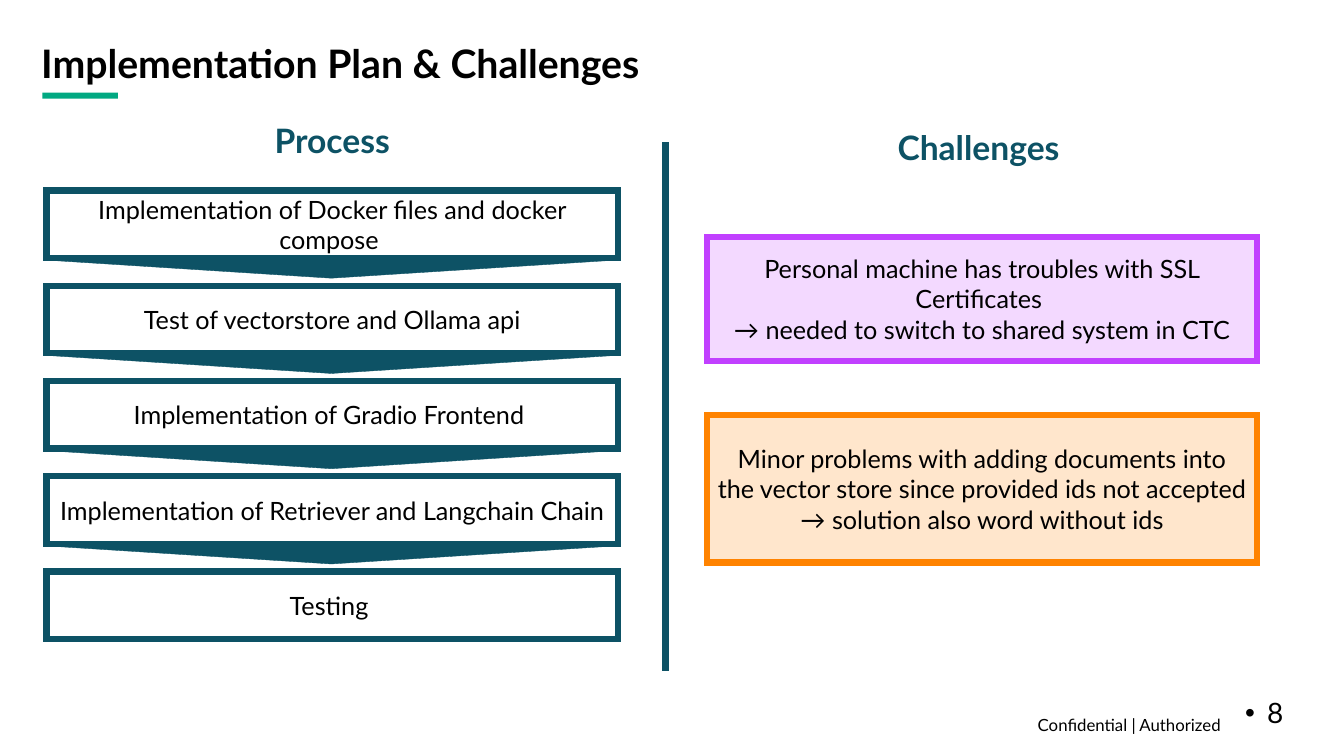
from dataclasses import dataclass

from lxml.etree import SubElement
from pptx import Presentation
from pptx.dml.color import RGBColor
from pptx.enum.shapes import MSO_CONNECTOR, MSO_SHAPE
from pptx.enum.text import MSO_ANCHOR, PP_ALIGN
from pptx.oxml.ns import qn
from pptx.util import Inches, Pt

WIDTH, HEIGHT = Inches(13.33), Inches(7.5)
FONT = "Lato"
COLORS = {
    "white": "FFFFFF", "black": "000000", "green": "01A982", "teal": "0D5265",
    "purple": "C140FF", "lilac": "F3D9FF", "orange": "FF8300", "peach": "FFE6CC",
}
THICK = 4.5
HEADING_HEIGHT = 5.87
STEP_HEIGHT, STEP_PITCH = 8.93, 12.6
STEPS = [
    "Implementation of Docker files and docker compose ",
    "Test of vectorstore and Ollama api",
    "Implementation of Gradio Frontend ",
    "Implementation of Retriever and Langchain Chain",
    "Testing ",
]
CHALLENGES = [
    (14.53, 16.4, "lilac", "purple",
     ["Personal machine has troubles with SSL Certificates ",
      "→ needed to switch to shared system in CTC"]),
    (38.13, 19.47, "peach", "orange",
     ["Minor problems with adding documents into the vector store since "
      "provided ids not accepted → solution also word without ids"]),
]


@dataclass
class Box:
    """An area of the slide, in percent of its width and height."""
    left: float
    top: float
    width: float
    height: float

    def inner(self, left, top, width, height):
        return Box(self.left + left, self.top + top, width, height)

    def lengths(self):
        return (int(WIDTH * self.left / 100), int(HEIGHT * self.top / 100),
                int(WIDTH * self.width / 100), int(HEIGHT * self.height / 100))


def color(name):
    return RGBColor.from_string(COLORS[name])


def set_values(target, values):
    for name, value in values.items():
        setattr(target, name, value)


def add_panel(page, box, fill=None, line=None, weight=THICK, kind=MSO_SHAPE.RECTANGLE):
    """Add a shape whose outline, if any, has sharp corners."""
    panel = page.shapes.add_shape(kind, *box.lengths())
    panel.shadow.inherit = False
    if fill:
        panel.fill.solid()
        panel.fill.fore_color.rgb = color(fill)
    else:
        panel.fill.background()
    if line:
        panel.line.color.rgb = color(line)
        panel.line.width = Pt(weight)
        outline = panel._element.spPr.find(qn("a:ln"))
        SubElement(outline, qn("a:miter")).set("lim", "800000")
    else:
        panel.line.fill.background()
    return panel


def write(shape, texts, size=18, ink="black", bold=False, align=PP_ALIGN.CENTER,
          spacing=1.0, anchor=MSO_ANCHOR.MIDDLE, wrap=True, margins=(0.1, 0.1)):
    """Fill a shape with paragraphs; margins are side and top/bottom inches."""
    side, end = map(Inches, margins)
    frame = shape.text_frame
    set_values(frame, {
        "word_wrap": wrap, "vertical_anchor": anchor, "margin_left": side,
        "margin_right": side, "margin_top": end, "margin_bottom": end})
    for index, text in enumerate(texts):
        para = frame.add_paragraph() if index else frame.paragraphs[0]
        set_values(para, {"alignment": align, "line_spacing": spacing})
        span = para.add_run()
        span.text = text
        set_values(span.font, {"name": FONT, "size": Pt(size), "bold": bold})
        span.font.color.rgb = color(ink)


def add_text(page, box, text, **style):
    label = page.shapes.add_textbox(*box.lengths())
    write(label, [text], **style)
    return label


def add_heading(page, box, text):
    write(add_panel(page, box, fill="white"), [text], size=24, ink="teal",
          bold=True, spacing=0.9, wrap=False)


def add_header(page, box):
    add_panel(page, box.inner(0.82, 6.54, 5.63, 0.8), fill="green")
    add_text(page, box.inner(0, 0, box.width, HEADING_HEIGHT),
             "Implementation Plan & Challenges", size=28, bold=True,
             align=PP_ALIGN.LEFT, spacing=0.9)


def add_bullet(para):
    properties = para._p.get_or_add_pPr()
    properties.set("marL", str(Inches(0.22)))
    properties.set("indent", str(-Inches(0.22)))
    SubElement(properties, qn("a:buSzPct")).set("val", "100000")
    SubElement(properties, qn("a:buFont")).set("typeface", "Arial")
    SubElement(properties, qn("a:buChar")).set("char", "•")


def add_footer(page, box):
    add_text(page, box.inner(0, 0, 61.37, box.height),
             "Confidential | Authorized ", size=12, align=PP_ALIGN.RIGHT,
             spacing=0.9, anchor=MSO_ANCHOR.BOTTOM, margins=(0.1, 0))
    number = add_text(page, box.inner(61.37, 2.54, 5.63, 5.33), "8", size=20,
                      align=PP_ALIGN.LEFT, spacing=0.9, margins=(0.1, 0.05))
    add_bullet(number.text_frame.paragraphs[0])


def add_divider(page, box):
    left, top, _, height = box.lengths()
    divider = page.shapes.add_connector(
        MSO_CONNECTOR.STRAIGHT, left, top, left, top + height)
    divider.line.color.rgb = color("teal")
    divider.line.width = Pt(THICK)
    SubElement(divider._element.spPr, qn("a:effectLst"))


def add_process(page, box):
    heading_width = 17.78
    add_heading(page, box.inner((box.width - heading_width) / 2, 0,
                                heading_width, HEADING_HEIGHT), "Process")
    for index, step in enumerate(STEPS):
        top = 9.33 + index * STEP_PITCH
        panel = add_panel(page, box.inner(0, top, box.width, STEP_HEIGHT), line="teal")
        write(panel, [step])
        if index < len(STEPS) - 1:
            arrow = add_panel(page, box.inner(-0.07, top + 9.2, box.width, 2.4),
                              "teal", "teal", 0.25, MSO_SHAPE.ISOSCELES_TRIANGLE)
            arrow.rotation = 180


def add_challenges(page, box):
    add_heading(page, box.inner(0, 0, box.width, HEADING_HEIGHT), "Challenges")
    for top, height, fill, line, texts in CHALLENGES:
        panel = add_panel(page, box.inner(1.65, top, 40.96, height), fill, line)
        write(panel, texts)


def main():
    deck = Presentation()
    set_values(deck, {"slide_width": WIDTH, "slide_height": HEIGHT})
    page = deck.slides.add_slide(deck.slide_layouts[6])
    add_header(page, Box(2.33, 5.73, 94.3, 7.34))
    add_footer(page, Box(30.53, 89.33, 67, 7.87))
    add_divider(page, Box(49.51, 18.8, 0, 70))
    add_process(page, Box(3.45, 15.87, 42.54, 68.66))
    add_challenges(page, Box(50.94, 16.8, 43.74, 57.6))
    deck.save("out.pptx")


if __name__ == "__main__":
    main()
